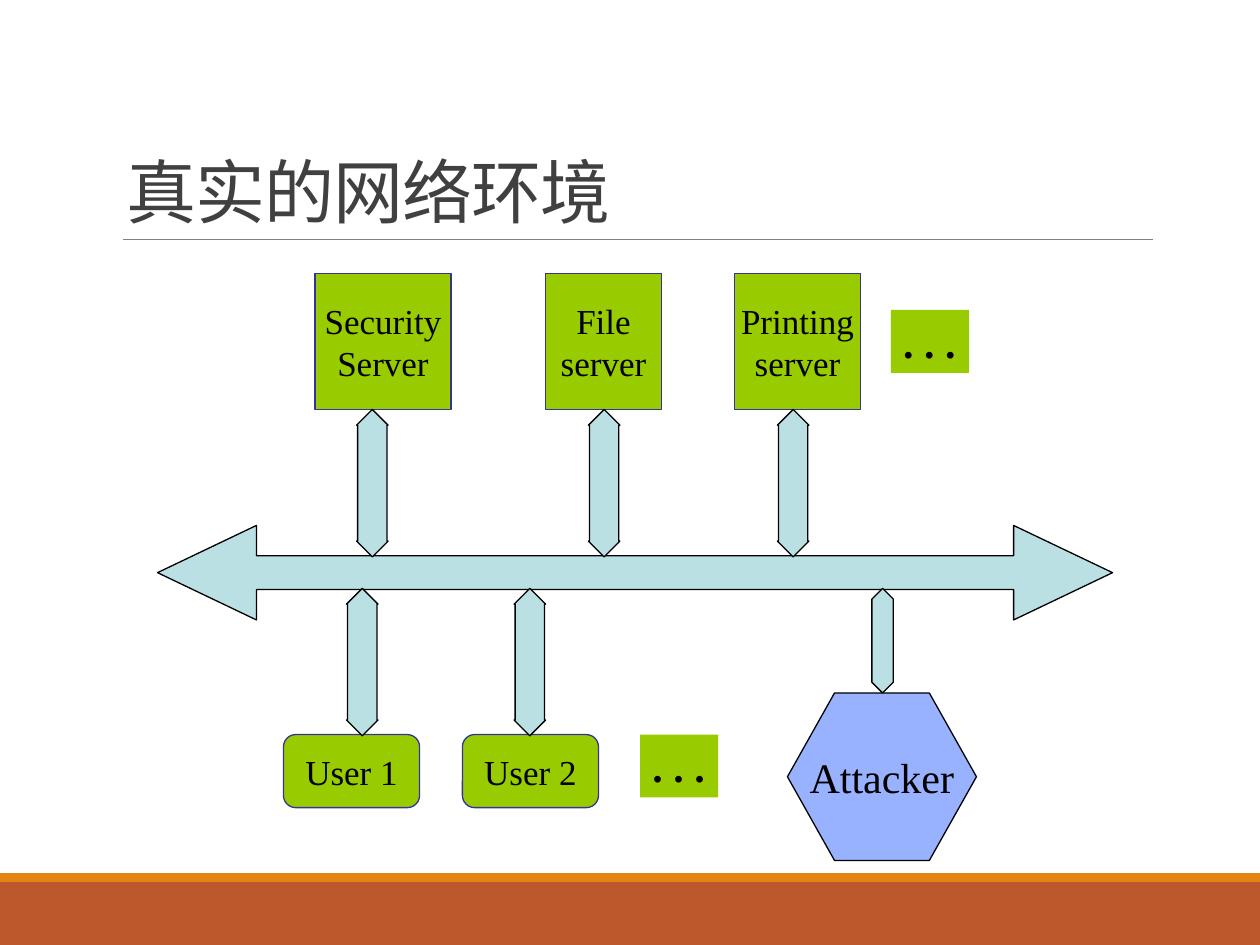
"""Build a slide showing servers, users and an attacker on one shared network."""
import pptx
import pptx.dml.color
import pptx.enum.shapes
import pptx.enum.text
import pptx.oxml
import pptx.oxml.ns
import pptx.util
from dataclasses import dataclass

Inches = pptx.util.Inches
Pt = pptx.util.Pt
RGB = pptx.dml.color.RGBColor.from_string
SHAPE = pptx.enum.shapes.MSO_SHAPE
ANCHOR = pptx.enum.text.MSO_ANCHOR
AUTO = pptx.enum.text.MSO_AUTO_SIZE
ALIGN = pptx.enum.text.PP_ALIGN
qn = pptx.oxml.ns.qn


@dataclass(frozen=True)
class Theme:
    band: str = "BD582C"
    stripe: str = "E48312"
    rule: str = "808080"
    title: str = "404040"
    node: str = "99CC00"
    node_line: str = "333399"
    arrow: str = "BBE0E3"
    attacker: str = "3366FF"
    ink: str = "000000"
    title_font: str = "Calibri"
    body_font: str = "Times New Roman"
    title_size: int = 40
    node_size: int = 20
    large_size: int = 24


T = Theme()


def add_shape(kind, box, fill, line=None, adjust=()):
    sp = s.shapes.add_shape(kind, *map(Inches, box))
    sp.shadow.inherit = False
    sp.fill.solid()
    sp.fill.fore_color.rgb = RGB(fill)
    if line:
        sp.line.color.rgb = RGB(line)
        sp.line.width = Pt(0.75)
    else:
        sp.line.fill.background()
    for i, value in enumerate(adjust):
        sp.adjustments[i] = value
    return sp


def add_text(sp, text, frame, align, font):
    tf = sp.text_frame
    for name, value in frame.items():
        setattr(tf, name, value)
    tf.text = text
    for p in tf.paragraphs:
        p.alignment = align
        for r in p.runs:
            r.font.color.rgb = RGB(T.ink)
            for name, value in font.items():
                setattr(r.font, name, value)


centred = {"word_wrap": False, "vertical_anchor": ANCHOR.MIDDLE}
fitted = {"word_wrap": False, "vertical_anchor": ANCHOR.TOP, "auto_size": AUTO.SHAPE_TO_FIT_TEXT}
node_font = {"name": T.body_font, "size": Pt(T.node_size)}
large_font = {"name": T.body_font, "size": Pt(T.large_size)}

prs = pptx.Presentation()
prs.slide_width, prs.slide_height = Inches(10), Inches(7.5)
s = prs.slides.add_slide(prs.slide_layouts[5])

add_shape(SHAPE.RECTANGLE, (0, 7, 10, 0.5), T.band)
add_shape(SHAPE.RECTANGLE, (0, 6.93, 10, 0.07), T.stripe)
rule = s.shapes.add_connector(
    pptx.enum.shapes.MSO_CONNECTOR.STRAIGHT, Inches(0.98), Inches(1.9), Inches(9.15), Inches(1.9))
rule.line.color.rgb = RGB(T.rule)
rule.line.width = Pt(0.5)
pptx.oxml.ns  # noqa
rule._element.spPr.append(pptx.oxml.parse_xml(
    '<a:effectLst xmlns:a="http://schemas.openxmlformats.org/drawingml/2006/main"/>'))

title = s.shapes.title
title.left, title.top, title.width, title.height = map(Inches, (0.9, 0.31, 8.25, 1.59))
tf = title.text_frame
tf.text = "真实的网络环境"
for name, value in {"vertical_anchor": ANCHOR.BOTTOM, "word_wrap": True, "auto_size": AUTO.NONE}.items():
    setattr(tf, name, value)
p = tf.paragraphs[0]
p.alignment = ALIGN.LEFT
p.line_spacing = 0.85
r = p.runs[0]
for name, value in {"name": T.title_font, "size": Pt(T.title_size)}.items():
    setattr(r.font, name, value)
r.font.color.rgb = RGB(T.title)
r._r.get_or_add_rPr().set("spc", "-50")

add_shape(SHAPE.LEFT_RIGHT_ARROW, (1.25, 4.17, 7.58, 0.75), T.arrow, T.ink, (0.358, 1.047))

for text, left, width in (("Security\nServer", 2.5, 1.08), ("File\nserver", 4.33, 0.92),
                          ("Printing\nserver", 5.83, 1)):
    sp = add_shape(SHAPE.RECTANGLE, (left, 2.17, width, 1.08), T.node, T.node_line)
    add_text(sp, text, centred, ALIGN.CENTER, node_font)

for text, left in (("User 1", 2.25), ("User 2", 3.67)):
    sp = add_shape(SHAPE.ROUNDED_RECTANGLE, (left, 5.83, 1.08, 0.58), T.node, T.node_line)
    add_text(sp, text, centred, ALIGN.CENTER, node_font)

for left, top in ((7.07, 2.46), (5.08, 5.83)):
    sp = add_shape(SHAPE.RECTANGLE, (left, top, 0.62, 0.5), T.node)
    add_text(sp, ". . .", fitted, ALIGN.LEFT, {**large_font, "bold": True})

attacker = add_shape(SHAPE.HEXAGON, (6.25, 5.5, 1.5, 1.33), T.attacker, T.ink, (0.281,))
add_text(attacker, "Attacker", centred, ALIGN.CENTER, large_font)
color = attacker._element.spPr.find(qn("a:solidFill"))[0]
color.append(pptx.oxml.parse_xml(
    '<a:alpha xmlns:a="http://schemas.openxmlformats.org/drawingml/2006/main" val="50000"/>'))

for top, lefts in ((3.25, (2.83, 4.67, 6.17)), (4.67, (2.75, 4.08))):
    for left in lefts:
        add_shape(SHAPE.UP_DOWN_ARROW, (left, top, 0.25, 1.17), T.arrow, T.ink, (0.5, 0.933))
add_shape(SHAPE.UP_DOWN_ARROW, (6.92, 4.67, 0.17, 0.83), T.arrow, T.ink, (0.5, 1))

prs.save("out.pptx")
